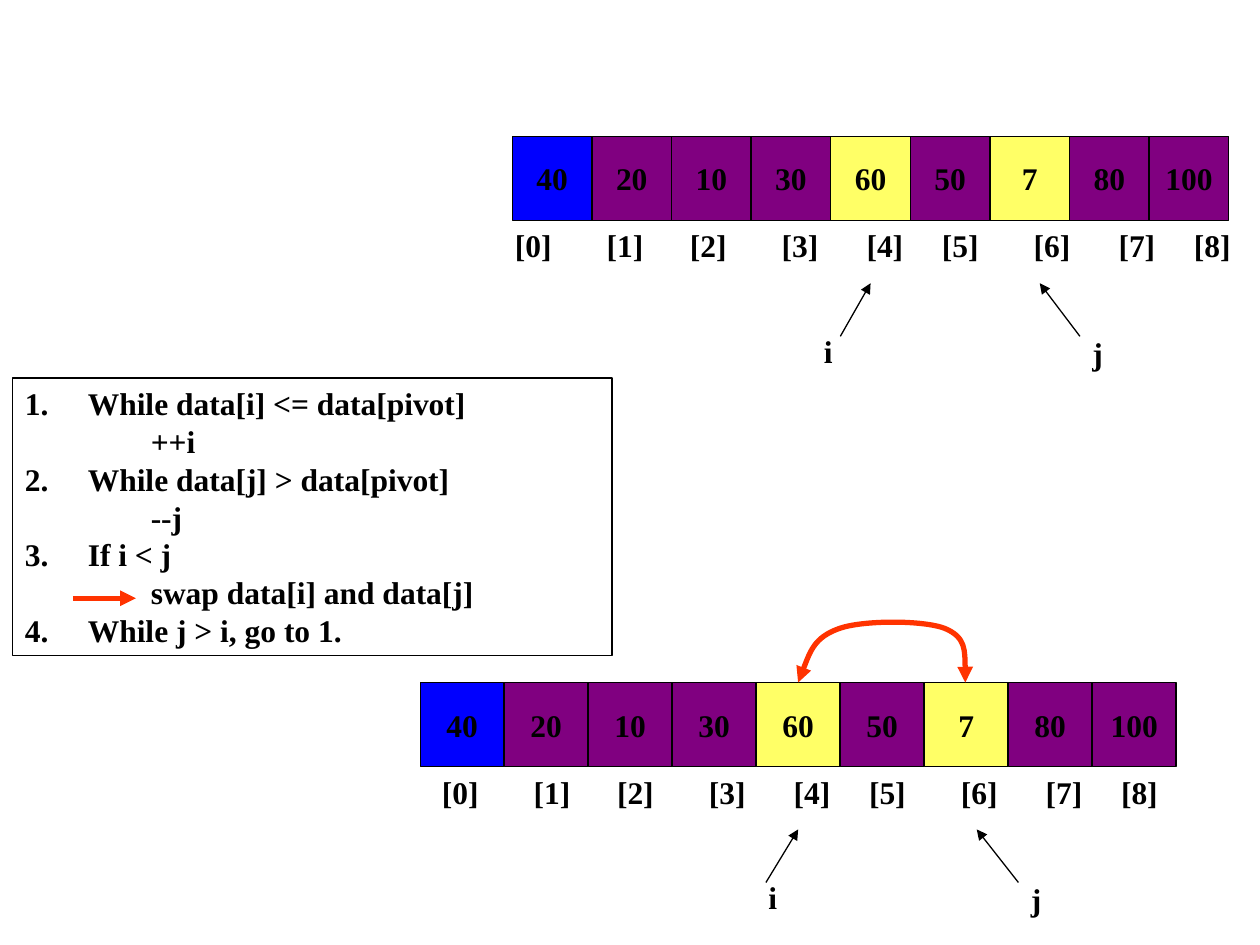
import pptx
import pptx.dml.color
import pptx.enum.shapes
import pptx.enum.text
import pptx.oxml.ns
import pptx.util
from lxml import etree

Cm = pptx.util.Cm
Pt = pptx.util.Pt
RGB = pptx.dml.color.RGBColor
Align = pptx.enum.text.PP_ALIGN
Anchor = pptx.enum.text.MSO_ANCHOR
qn = pptx.oxml.ns.qn

BLACK = RGB(0x00, 0x00, 0x00)
BLUE = RGB(0x00, 0x00, 0xFF)
PURPLE = RGB(0x80, 0x00, 0x80)
YELLOW = RGB(0xFF, 0xFF, 0x66)
RED = RGB(0xFF, 0x33, 0x00)

DATA = [40, 20, 10, 30, 60, 50, 7, 80, 100]
FILLS = {40: BLUE, 60: YELLOW, 7: YELLOW}
STOPS = [1.85, 3.53, 5.38, 7.09, 8.61, 10.46, 12.17, 13.69]
STEPS = [
    ("While data[i] <= data[pivot]", 0),
    ("++i", 1),
    ("While data[j] > data[pivot]", 0),
    ("--j", 1),
    ("If i < j", 0),
    ("swap data[i] and data[j]", 1),
    ("While j > i, go to 1.", 0),
]
SWAP = [
    (16.26, 13.31), (16.41, 12.85), (16.92, 12.67),
    (17.4, 12.5), (18.62, 12.5), (19.05, 12.67),
    (19.48, 12.85), (19.46, 13.31), (19.46, 13.76),
]


class Deck:
    face = "Times New Roman"
    size = Pt(18)
    thin = Pt(0.75)
    thick = Pt(3)

    def __init__(self, slide):
        self.slide = slide
        self.shapes = slide.shapes

    def group(self):
        self.shapes = self.slide.shapes.add_group_shape().shapes

    def font(self, para):
        font = para.font
        font.name = self.face
        font.size = self.size
        font.bold = True
        font.color.rgb = BLACK

    def rect(self, x, y, w, h, fill=None):
        kind = pptx.enum.shapes.MSO_SHAPE.RECTANGLE
        shape = self.shapes.add_shape(kind, Cm(x), Cm(y), Cm(w), Cm(h))
        shape.shadow.inherit = False
        if fill is None:
            shape.fill.background()
        else:
            shape.fill.solid()
            shape.fill.fore_color.rgb = fill
        shape.line.color.rgb = BLACK
        shape.line.width = self.thin
        return shape

    def cell(self, x, y, w, h, text, fill):
        frame = self.rect(x, y, w, h, fill).text_frame
        frame.word_wrap = False
        frame.vertical_anchor = Anchor.MIDDLE
        para = frame.paragraphs[0]
        para.text = text
        para.alignment = Align.CENTER
        self.font(para)

    def label(self, x, y, w, text, stops=()):
        box = self.shapes.add_textbox(Cm(x), Cm(y), Cm(w), Cm(1.02))
        box.text_frame.word_wrap = True
        para = box.text_frame.paragraphs[0]
        para.text = text
        if stops:
            props = para._p.get_or_add_pPr()
            tabs = etree.SubElement(props, qn("a:tabLst"))
            for stop in stops:
                etree.SubElement(tabs, qn("a:tab"), pos=str(Cm(stop)), algn="l")
        self.font(para)

    def steps(self, x, y, w, h, items):
        frame = self.rect(x, y, w, h).text_frame
        frame.word_wrap = True
        frame.vertical_anchor = Anchor.TOP
        for n, (text, level) in enumerate(items):
            para = frame.add_paragraph() if n else frame.paragraphs[0]
            para.text = text
            para.level = level
            para.alignment = Align.LEFT
            props = para._p.get_or_add_pPr()
            props.set("marL", str(Cm(1.27 * (level + 1))))
            props.set("indent", str(0 if level else -Cm(1.27)))
            if level:
                etree.SubElement(props, qn("a:buNone"))
            else:
                etree.SubElement(props, qn("a:buFont"), typeface=self.face)
                etree.SubElement(props, qn("a:buAutoNum"), type="arabicPeriod")
            self.font(para)

    def stroke(self, shape, color, width, ends):
        shape.line.color.rgb = color
        shape.line.width = width
        line = shape.line._get_or_add_ln()
        for end in ends:
            etree.SubElement(line, qn(end), type="triangle")

    def arrow(self, x1, y1, x2, y2, color=BLACK, width=thin):
        kind = pptx.enum.shapes.MSO_CONNECTOR.STRAIGHT
        link = self.shapes.add_connector(kind, Cm(x1), Cm(y1), Cm(x2), Cm(y2))
        self.stroke(link, color, width, ["a:tailEnd"])
        etree.SubElement(link._element.spPr, qn("a:effectLst"))

    def curve(self, x, y, points):
        pen = self.shapes.build_freeform(Cm(x), Cm(y))
        pen.add_line_segments([(Cm(a), Cm(b)) for a, b in points], close=False)
        shape = pen.convert_to_shape()
        shape.shadow.inherit = False
        shape.fill.background()
        self.stroke(shape, RED, self.thick, ["a:headEnd", "a:tailEnd"])
        parts = list(shape._element.iter(qn("a:lnTo")))
        for n in range(0, len(parts), 3):
            bend = etree.Element(qn("a:cubicBezTo"))
            parts[n].addprevious(bend)
            for part in parts[n:n + 3]:
                bend.append(part[0])
                part.getparent().remove(part)

    def array(self, left, top, width, index, i, j):
        self.group()
        wide = width / len(DATA)
        for n, value in enumerate(DATA):
            fill = FILLS.get(value, PURPLE)
            self.cell(left + n * wide, top, wide, 1.69, str(value), fill)
        marks = "\t".join(f"[{n}]" for n in range(len(DATA)))
        self.label(index, top + 1.69, 15, marks, STOPS)
        for name, drop, (x, start, end) in (("i", 3.81, i), ("j", 3.85, j)):
            self.label(x, top + drop, 1, name)
            self.arrow(start, top + 4.03, end, top + 2.96)


def main():
    show = pptx.Presentation()
    show.slide_width = Cm(25.4)
    show.slide_height = Cm(19.05)
    deck = Deck(show.slides.add_slide(show.slide_layouts[6]))
    deck.array(10.33, 2.75, 14.44, 10.13,
               (16.36, 16.94, 17.55), (21.77, 21.77, 20.96))
    deck.shapes = deck.slide.shapes
    deck.steps(0.25, 7.62, 12.09, 5.59, STEPS)
    deck.arrow(1.47, 12.06, 2.74, 12.06, RED, deck.thick)
    deck.array(8.47, 13.76, 15.24, 8.66,
               (15.24, 15.44, 16.09), (20.53, 20.53, 19.69))
    deck.curve(16.09, 13.76, SWAP)
    show.save("out.pptx")


if __name__ == "__main__":
    main()
